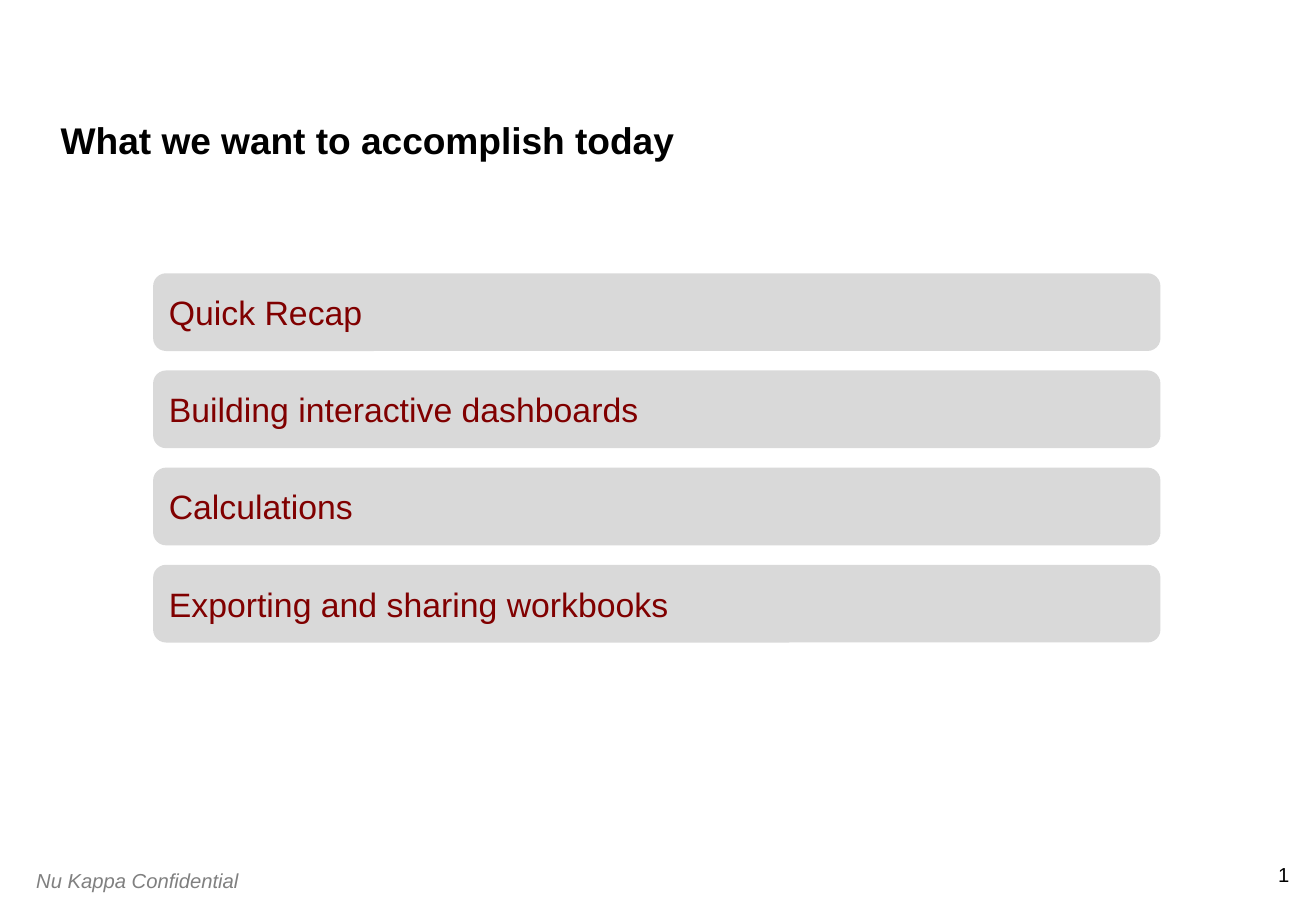
import dataclasses

import pptx
import pptx.dml.color
import pptx.enum.shapes
import pptx.enum.text
import pptx.util

Inches = pptx.util.Inches
Anchor = pptx.enum.text.MSO_ANCHOR
Align = pptx.enum.text.PP_ALIGN

FONT = "Arial"
COLORS = {"ink": "000000", "footer": "808080", "bar": "D9D9D9", "topic": "800000"}

# Agenda bars share one size and an even pitch
BAR_LEFT, BAR_TOP, BAR_WIDTH, BAR_HEIGHT = 1.26, 2.25, 8.29, 0.64
BAR_PITCH = 0.8
TOPICS = [
    "Quick Recap",
    "Building interactive dashboards",
    "Calculations",
    "Exporting and sharing workbooks",
]


@dataclasses.dataclass(frozen=True)
class Label:
    text: str
    left: float
    top: float
    width: float
    height: float
    size: int
    color: str
    bold: bool = False
    italic: bool = False
    inset: bool = True
    wrap: bool = True
    anchor: Anchor = Anchor.TOP
    align: Align = Align.LEFT
    line_spacing: float = 1.0


def rgb(name: str) -> pptx.dml.color.RGBColor:
    return pptx.dml.color.RGBColor.from_string(COLORS[name])


def write_text(shape, label: Label) -> None:
    frame = shape.text_frame
    frame.text = label.text
    frame.word_wrap = label.wrap
    frame.vertical_anchor = label.anchor
    if not label.inset:
        frame.margin_left = frame.margin_right = Inches(0)
        frame.margin_top = frame.margin_bottom = Inches(0)
    paragraph = frame.paragraphs[0]
    paragraph.alignment = label.align
    paragraph.line_spacing = label.line_spacing
    font = paragraph.runs[0].font
    font.name = FONT
    font.size = pptx.util.Pt(label.size)
    font.bold = label.bold
    font.italic = label.italic
    font.color.rgb = rgb(label.color)


def bounds(label: Label) -> list[pptx.util.Length]:
    return [Inches(v) for v in (label.left, label.top, label.width, label.height)]


def add_label(slide, label: Label) -> None:
    write_text(slide.shapes.add_textbox(*bounds(label)), label)


def add_bar(slide, label: Label) -> None:
    rounded = pptx.enum.shapes.MSO_SHAPE.ROUNDED_RECTANGLE
    bar = slide.shapes.add_shape(rounded, *bounds(label))
    bar.shadow.inherit = False
    bar.fill.solid()
    bar.fill.fore_color.rgb = rgb("bar")
    bar.line.fill.background()
    write_text(bar, label)


presentation = pptx.Presentation()
presentation.slide_width = Inches(10.83)
presentation.slide_height = Inches(7.5)
agenda = presentation.slides.add_slide(presentation.slide_layouts[6])

# Page number, confidentiality footer and title
for label in (
    Label("1", 10.4, 7.1, 0.21, 0.2, 12, "ink", inset=False, align=Align.RIGHT),
    Label("Nu Kappa Confidential", 0.2, 7.1, 2, 0.3, 12, "footer",
          italic=True, wrap=False),
    Label("What we want to accomplish today", 0.5, 0.42, 9.83, 0.92, 22, "ink",
          bold=True, inset=False, anchor=Anchor.BOTTOM, line_spacing=0.9),
):
    add_label(agenda, label)

# Agenda topics
for row, topic in enumerate(TOPICS):
    top = BAR_TOP + row * BAR_PITCH
    add_bar(agenda, Label(topic, BAR_LEFT, top, BAR_WIDTH, BAR_HEIGHT, 20, "topic",
                          anchor=Anchor.MIDDLE))

presentation.save("out.pptx")
